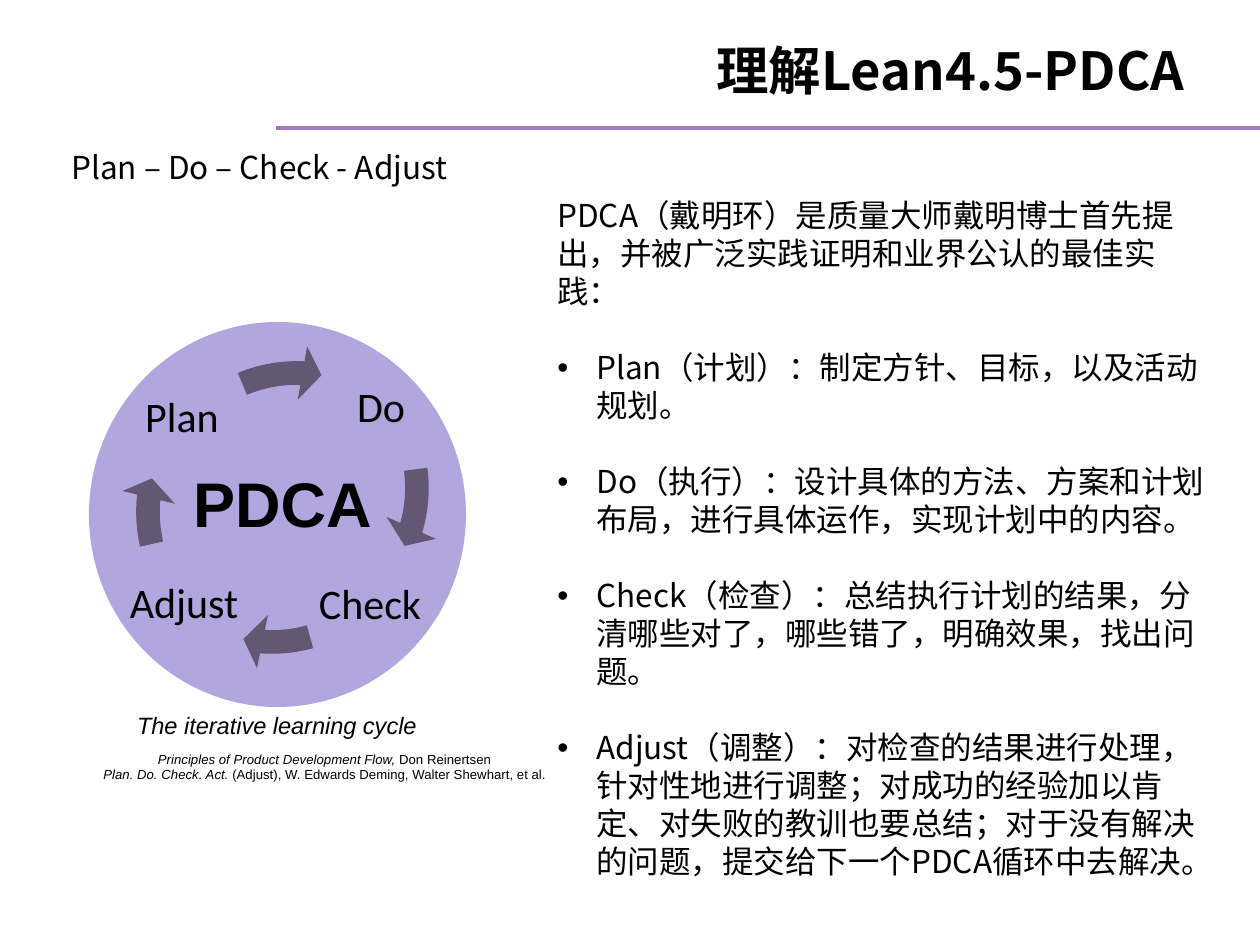
from lxml.etree import SubElement
from pptx import Presentation
from pptx.dml.color import RGBColor
from pptx.enum.shapes import MSO_CONNECTOR, MSO_SHAPE
from pptx.enum.text import MSO_ANCHOR, MSO_AUTO_SIZE, PP_ALIGN
from pptx.oxml.ns import qn
from pptx.util import Pt

EMU_PER_PX = 914400 / 126
COLORS = {"text": "000000", "rule": "A379BB", "disc": "B2A6DF", "arrow": "645773"}
CJK = "Noto Sans CJK SC"
LINE_PITCH = 21.7


def px(length):
    return round(length * EMU_PER_PX)


class SlideBuilder:
    """Holds the current slide and the shared style."""

    def __init__(self, slide):
        self.slide = slide

    def color(self, name):
        return RGBColor.from_string(COLORS[name])

    def style(self, paragraph, size, font=CJK, bold=False, align=PP_ALIGN.LEFT):
        paragraph.alignment = align
        paragraph.font.size = Pt(size)
        paragraph.font.bold = bold
        paragraph.font.color.rgb = self.color("text")
        paragraph.font.name = font
        properties = paragraph.font._element
        SubElement(properties, qn("a:ea")).set("typeface", font)

    def title(self, text, box, size):
        title = self.slide.shapes.title
        title.left, title.top, title.width, title.height = map(px, box)
        frame = title.text_frame
        frame.text = text
        frame.auto_size = MSO_AUTO_SIZE.NONE
        frame.vertical_anchor = MSO_ANCHOR.MIDDLE
        self.style(frame.paragraphs[0], size, bold=True, align=PP_ALIGN.RIGHT)

    def frame(self, box, margin=None, wrap=True):
        frame = self.slide.shapes.add_textbox(*map(px, box)).text_frame
        frame.word_wrap = wrap
        if margin is not None:
            frame.margin_left = frame.margin_right = px(margin)
            frame.margin_top = frame.margin_bottom = px(margin)
        return frame

    def text(self, text, box, size, font=CJK, bold=False, italic=False,
             align=PP_ALIGN.CENTER, wrap=True):
        paragraph = self.frame(box, wrap=wrap).paragraphs[0]
        paragraph.text = text
        self.style(paragraph, size, font, bold, align)
        paragraph.font.italic = italic

    def label(self, text, left, top):
        frame = self.frame((left, top, 120, 120), margin=4)
        frame.vertical_anchor = MSO_ANCHOR.MIDDLE
        paragraph = frame.paragraphs[0]
        paragraph.text = text
        paragraph.line_spacing = 0.9
        self.style(paragraph, 24, "Calibri", align=PP_ALIGN.CENTER)

    def citations(self, entries, box):
        """Write one line per (italic work, upright authors) pair."""
        frame = self.frame(box, margin=0)
        for index, (work, authors) in enumerate(entries):
            paragraph = frame.paragraphs[0] if index == 0 else frame.add_paragraph()
            self.style(paragraph, 7.5, "Arial", align=PP_ALIGN.CENTER)
            for text, italic in ((work, True), (authors, False)):
                run = paragraph.add_run()
                run.text = text
                run.font.italic = italic

    def body(self, intro, bullets, box):
        """Write an intro and bullets, keeping punctuation inside the right margin."""
        frame = self.frame(box)
        for index, text in enumerate([intro, *bullets]):
            paragraph = frame.paragraphs[0] if index == 0 else frame.add_paragraph()
            paragraph.text = text
            paragraph.line_spacing = Pt(LINE_PITCH)
            paragraph._p.get_or_add_pPr().set("hangingPunct", "0")
            if index:
                paragraph.space_before = Pt(LINE_PITCH)
                self.bullet(paragraph, 39)
            self.style(paragraph, 18)

    def bullet(self, paragraph, indent):
        properties = paragraph._p.get_or_add_pPr()
        properties.set("marL", str(px(indent)))
        properties.set("indent", str(-px(indent)))
        SubElement(properties, qn("a:buFont")).set("typeface", "Arial")
        SubElement(properties, qn("a:buChar")).set("char", "•")

    def shape(self, kind, box, fill):
        shape = self.slide.shapes.add_shape(kind, *map(px, box))
        shape.shadow.inherit = False
        shape.fill.solid()
        shape.fill.fore_color.rgb = self.color(fill)
        shape.line.fill.background()
        return shape

    def cycle_arrow(self, left, top, start, end):
        """Draw an arc arrow between two angles in degrees, clockwise from the right."""
        arrow = self.shape(MSO_SHAPE.CIRCULAR_ARROW, (left, top, 338, 338), "arrow")
        angles = [degrees * 0.6 for degrees in (7.75, end, start)]
        for index, value in enumerate([0.07, *angles, 0.08]):
            arrow.adjustments[index] = value

    def line(self, start, end, color, width):
        line = self.slide.shapes.add_connector(
            MSO_CONNECTOR.STRAIGHT, *map(px, (*start, *end)))
        line.line.color.rgb = self.color(color)
        line.line.width = Pt(width)
        SubElement(line._element.spPr, qn("a:effectLst"))


def main():
    presentation = Presentation()
    presentation.slide_width, presentation.slide_height = px(1260), px(945)
    slide = presentation.slides.add_slide(presentation.slide_layouts[5])
    builder = SlideBuilder(slide)

    builder.line((276, 128), (1260, 128), "rule", 2)
    builder.title("理解Lean4.5-PDCA", (374, 20, 823, 100), 30)
    builder.text("Plan – Do – Check - Adjust", (59, 142, 430, 50), 18,
                 align=PP_ALIGN.LEFT, wrap=False)

    builder.shape(MSO_SHAPE.OVAL, (89, 322, 377, 385), "disc")
    steps = [
        ("Do", (321, 349), (106, 319), (352.44, 16.32)),
        ("Check", (310, 546), (103, 331), (74.46, 93.83)),
        ("Adjust", (124, 545), (121, 343), (166.92, 185.89)),
        ("Plan", (122, 359), (128, 346), (247.39, 272.22)),
    ]
    for name, label_corner, arrow_corner, angles in steps:
        builder.label(name, *label_corner)
        builder.cycle_arrow(*arrow_corner, *angles)
    builder.text("PDCA", (171, 458, 223, 89), 36, "Arial", bold=True)

    builder.text("The iterative learning cycle", (63, 705, 428, 42), 13.5,
                 "Arial", italic=True)
    builder.citations([
        ("Principles of Product Development Flow, ", "Don Reinertsen"),
        ("Plan. Do. Check. Act. ",
         "(Adjust), W. Edwards Deming, Walter Shewhart, et al."),
    ], (49, 751, 551, 32))

    builder.body(
        "PDCA（戴明环）是质量大师戴明博士首先提出，并被广泛实践证明和业界公认的最佳实践：",
        [
            "Plan（计划）：制定方针、目标，以及活动规划。",
            "Do（执行）：设计具体的方法、方案和计划布局，进行具体运作，实现计划中的内容。",
            "Check（检查）：总结执行计划的结果，分清哪些对了，哪些错了，明确效果，找出问题。",
            "Adjust（调整）：对检查的结果进行处理，针对性地进行调整；对成功的经验加以肯定、"
            "对失败的教训也要总结；对于没有解决的问题，提交给下一个PDCA循环中去解决。",
        ],
        (545, 190, 685, 740))

    presentation.save("out.pptx")


if __name__ == "__main__":
    main()
